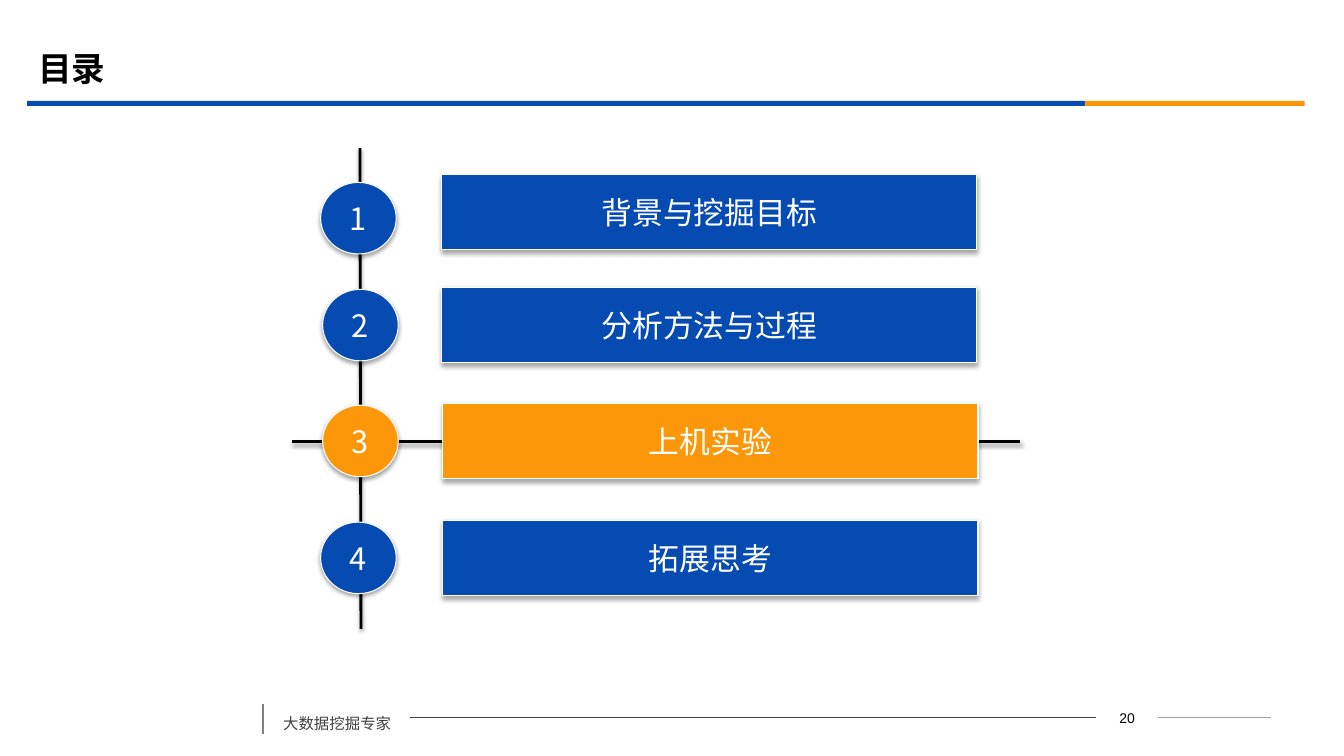
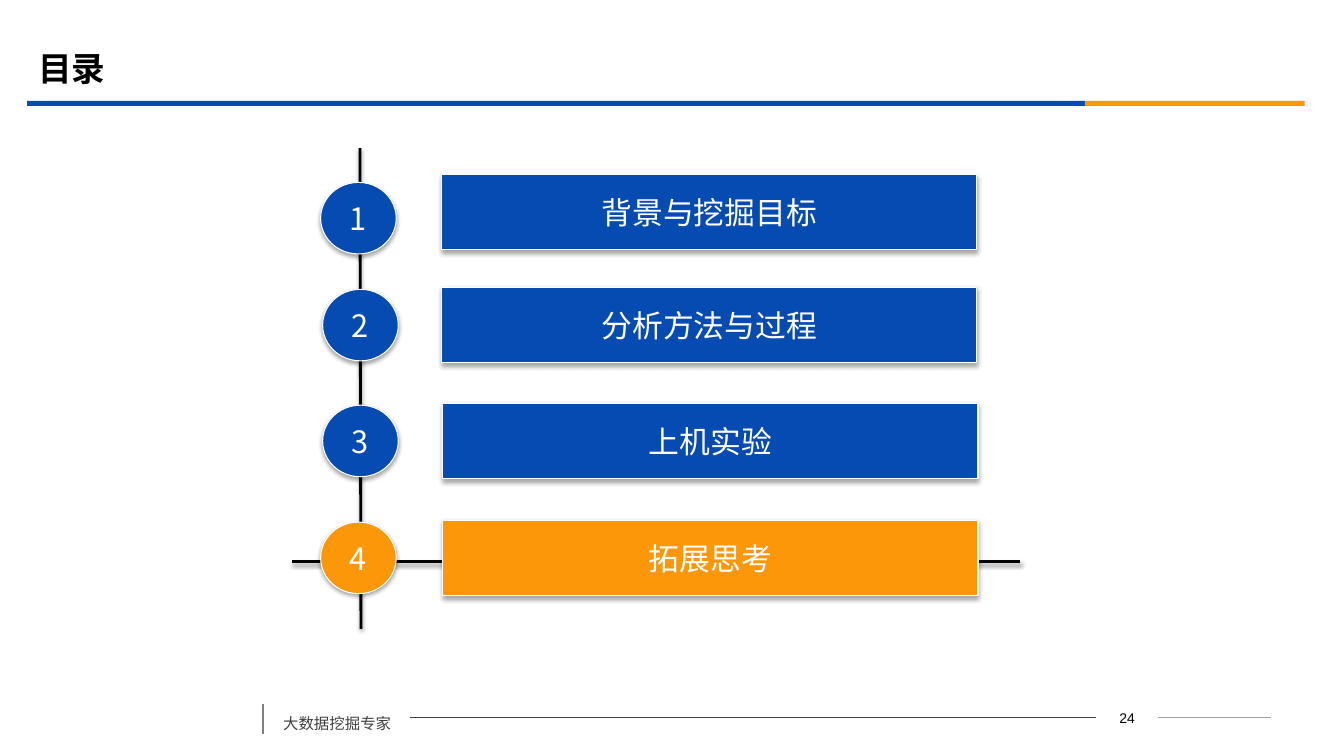
from typing import NamedTuple

from lxml.etree import SubElement
from pptx import Presentation
from pptx.dml.color import RGBColor
from pptx.enum.shapes import MSO_CONNECTOR, MSO_SHAPE
from pptx.enum.text import MSO_ANCHOR, PP_ALIGN
from pptx.oxml.ns import qn
from pptx.util import Inches, Pt

BLUE, ORANGE, WHITE, BLACK = "064BB2", "FB9708", "FFFFFF", "000000"
DARK_GREY, MID_GREY, LIGHT_GREY = "404040", "808080", "A0A0A0"
CJK_FONT, LATIN_FONT = "Noto Sans CJK SC", "Arial"

CIRCLE_SIZE = (0.75, 0.71)
BAR_SIZE = (5.31, 0.75)


class Shadow(NamedTuple):
    distance: float
    opacity: int


class Line(NamedTuple):
    start: tuple[float, float]
    end: tuple[float, float]
    color: str
    width: float


class Chapter(NamedTuple):
    label: str
    circle: tuple[float, float]
    bar: tuple[float, float]


class Agenda(NamedTuple):
    page_number: int
    current: int
    marker_top: float


SHAPE_SHADOW = Shadow(1.8, 35)
LINE_SHADOW = Shadow(1.6, 38)

FOOTER_LINES = [
    Line((11.49, 7.12), (12.61, 7.12), LIGHT_GREY, 0.75),
    Line((4.07, 7.12), (10.87, 7.12), DARK_GREY, 0.75),
    Line((2.61, 6.98), (2.61, 7.28), MID_GREY, 1.25),
]

CHAPTERS = [
    Chapter("背景与挖掘目标", (3.18, 1.81), (4.38, 1.73)),
    Chapter("分析方法与过程", (3.2, 2.87), (4.38, 2.85)),
    Chapter("上机实验", (3.2, 4.02), (4.39, 4)),
    Chapter("拓展思考", (3.18, 5.18), (4.39, 5.16)),
]

AGENDAS = [Agenda(20, 3, 4.38), Agenda(24, 4, 5.57)]


def rgb(color: str) -> RGBColor:
    return RGBColor.from_string(color)


def set_shadow(shape_properties, shadow: Shadow | None) -> None:
    """Replace the themed effects by a soft shadow below, or by none."""
    effects = shape_properties.find(qn("a:effectLst"))
    if effects is None:
        effects = SubElement(shape_properties, qn("a:effectLst"))
    if shadow:
        outer = SubElement(effects, qn("a:outerShdw"), blurRad=str(Pt(3.1)),
                           dist=str(Pt(shadow.distance)), dir="5400000",
                           rotWithShape="0")
        color = SubElement(outer, qn("a:srgbClr"), val=BLACK)
        SubElement(color, qn("a:alpha"), val=str(shadow.opacity * 1000))


def write(shape, text: str, size: float, color: str, font: str = CJK_FONT,
          align: PP_ALIGN = PP_ALIGN.CENTER, bold: bool = False):
    """Put one formatted paragraph into a shape and return it."""
    para = shape.text_frame.paragraphs[0]
    para.text = text
    para.alignment = align
    para.font.size = Pt(size)
    para.font.bold = bold
    para.font.color.rgb = rgb(color)
    para.font.name = font
    defaults = para._p.pPr.find(qn("a:defRPr"))
    SubElement(defaults, qn("a:ea"), typeface=font)
    return para


def add_line(page, line: Line, shadow: Shadow | None = None) -> None:
    points = [Inches(value) for value in (*line.start, *line.end)]
    connector = page.shapes.add_connector(MSO_CONNECTOR.STRAIGHT, *points)
    connector.line.color.rgb = rgb(line.color)
    connector.line.width = Pt(line.width)
    set_shadow(connector._element.spPr, shadow)


def add_band(page, left: float, width: float, color: str) -> None:
    band = page.shapes.add_shape(MSO_SHAPE.RECTANGLE, Inches(left), Inches(1),
                                 Inches(width), Inches(0.05))
    band.shadow.inherit = False
    band.fill.solid()
    band.fill.fore_color.rgb = rgb(color)
    band.line.fill.background()


def add_label(page, kind: MSO_SHAPE, position: tuple[float, float],
              size: tuple[float, float], text: str, color: str) -> None:
    """Add a filled, shadowed shape with white centred text."""
    box = page.shapes.add_shape(
        kind, *[Inches(value) for value in (*position, *size)])
    box.fill.solid()
    box.fill.fore_color.rgb = rgb(color)
    box.line.color.rgb = rgb(WHITE)
    box.line.width = Pt(0.75)
    box.shadow.inherit = False
    set_shadow(box._element.spPr, SHAPE_SHADOW)
    box.text_frame.word_wrap = False
    box.text_frame.vertical_anchor = MSO_ANCHOR.MIDDLE
    write(box, text, 22, WHITE)


def add_frame(page, title: str, page_number: int) -> None:
    """Draw what every slide shares: title, bands and footer."""
    heading = page.shapes.title
    heading.left, heading.top = Inches(0.28), Inches(0.39)
    heading.width, heading.height = Inches(12), Inches(0.58)
    heading.text_frame.vertical_anchor = MSO_ANCHOR.MIDDLE
    write(heading, title, 24, BLACK, align=PP_ALIGN.LEFT, bold=True)

    add_band(page, 0.27, 10.49, BLUE)
    add_band(page, 10.76, 2.18, ORANGE)

    for line in FOOTER_LINES:
        add_line(page, line)
    motto = page.shapes.add_textbox(Inches(2.71), Inches(6.94),
                                    Inches(1.36), Inches(0.38))
    motto.text_frame.word_wrap = True
    para = write(motto, "大数据挖掘专家", 11, DARK_GREY, align=PP_ALIGN.LEFT)
    para.line_spacing = 1.5
    para.space_before = Pt(6)
    number = page.shapes.add_textbox(Inches(10.87), Inches(6.99),
                                     Inches(0.62), Inches(0.25))
    number.text_frame.word_wrap = True
    write(number, str(page_number), 10, BLACK, LATIN_FONT)


def add_agenda(deck, agenda: Agenda) -> None:
    page = deck.slides.add_slide(deck.slide_layouts[5])
    add_frame(page, "目录", agenda.page_number)

    # Spine and the marker line through the current chapter
    add_line(page, Line((3.57, 1.47), (3.58, 6.24), BLACK, 2), LINE_SHADOW)
    top = agenda.marker_top
    add_line(page, Line((2.9, top), (10.12, top), BLACK, 2), LINE_SHADOW)

    # Numbered chapters
    for number, chapter in enumerate(CHAPTERS, start=1):
        color = ORANGE if number == agenda.current else BLUE
        add_label(page, MSO_SHAPE.ACTION_BUTTON_CUSTOM, chapter.bar, BAR_SIZE,
                  chapter.label, color)
        add_label(page, MSO_SHAPE.OVAL, chapter.circle, CIRCLE_SIZE,
                  str(number), color)


def main() -> None:
    deck = Presentation()
    deck.slide_width, deck.slide_height = Inches(13.33), Inches(7.5)
    for agenda in AGENDAS:
        add_agenda(deck, agenda)
    deck.save("out.pptx")


if __name__ == "__main__":
    main()
